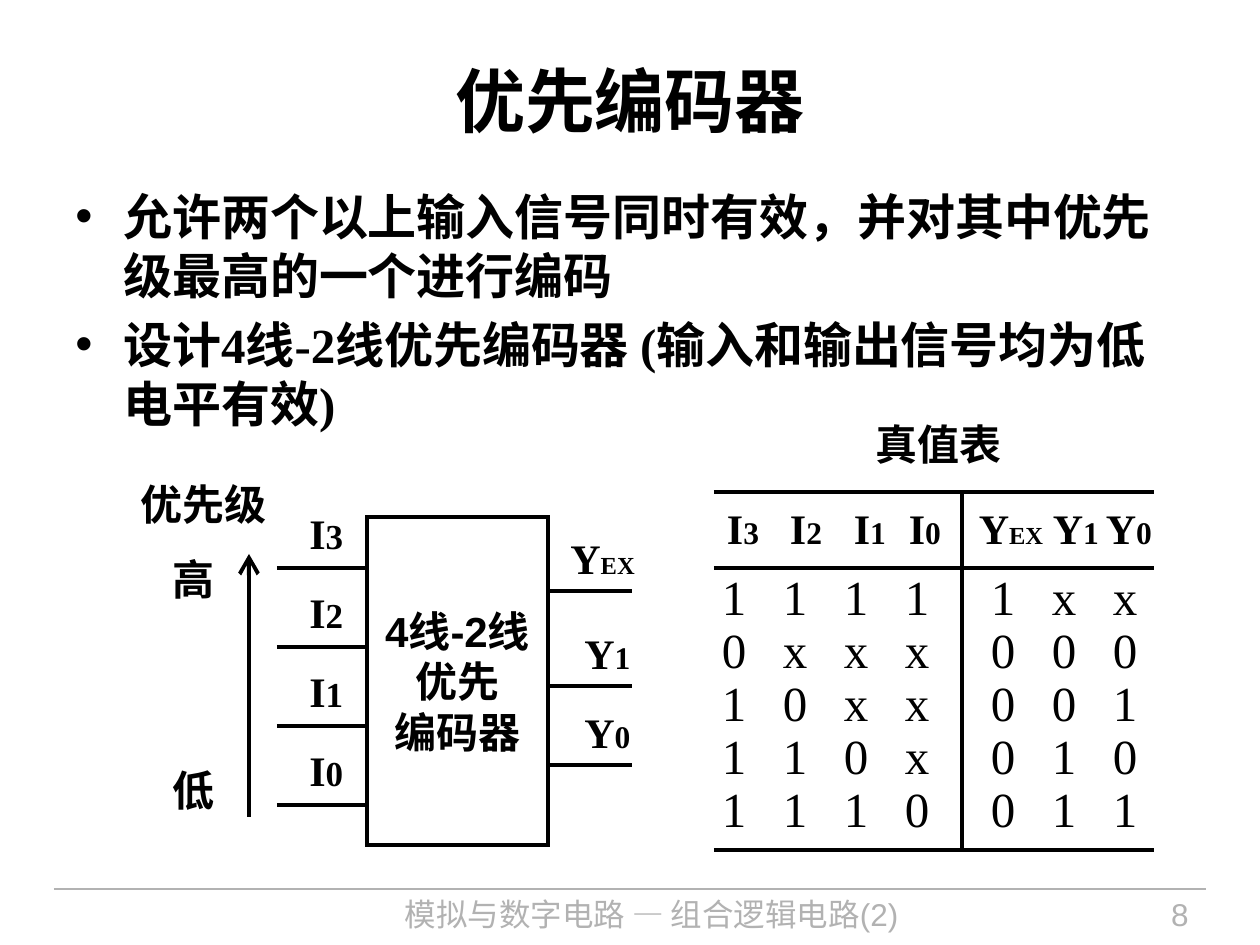
import pptx
import pptx.util
import pptx.dml.color
import pptx.enum.shapes
import pptx.enum.text
import pptx.oxml
import pptx.oxml.ns
import lxml.etree

PIXEL = 914400 // 126
COLORS = {"ink": "000000", "muted": "B2B2B2"}
SERIF = "Times New Roman"
SANS = "Arial"
ALIGN = pptx.enum.text.PP_ALIGN
ANCHOR = pptx.enum.text.MSO_ANCHOR


def color(name):
    return pptx.dml.color.RGBColor.from_string(COLORS[name])


def px(value):
    return pptx.util.Emu(value * PIXEL)


def element(parent, tag, **attributes):
    child = lxml.etree.SubElement(parent, pptx.oxml.ns.qn(tag))
    for key, value in attributes.items():
        child.set(key, str(value))
    return child


def format_run(run, size, font, bold=True, ink="ink"):
    run.font.size = pptx.util.Pt(size)
    run.font.name = font
    run.font.bold = bold
    run.font.color.rgb = color(ink)


def format_text(text_frame, size, font, align=ALIGN.LEFT, bold=True, ink="ink"):
    for paragraph in text_frame.paragraphs:
        paragraph.alignment = align
        for run in paragraph.runs:
            format_run(run, size, font, bold, ink)


def add_text(slide, box, text, size, font=SANS, wrap=False, **style):
    shape = slide.shapes.add_textbox(*map(px, box))
    shape.text_frame.word_wrap = wrap
    shape.text_frame.text = text
    format_text(shape.text_frame, size, font, **style)
    return shape


def add_signal_runs(paragraph, letter, index, index_size):
    for text, size in ((letter, 24), (index, index_size)):
        run = paragraph.add_run()
        run.text = text
        format_run(run, size, SERIF)


def add_signal(slide, box, letter, index, index_size):
    shape = slide.shapes.add_textbox(*map(px, box))
    shape.text_frame.word_wrap = False
    add_signal_runs(shape.text_frame.paragraphs[0], letter, index, index_size)


def add_line(slide, start, end, ink="ink", width=2.25, arrow=False):
    line = slide.shapes.add_connector(
        pptx.enum.shapes.MSO_CONNECTOR.STRAIGHT, *map(px, start + end))
    line.line.color.rgb = color(ink)
    line.line.width = pptx.util.Pt(width)
    if arrow:
        element(line.line._get_or_add_ln(), "a:tailEnd", type="arrow", w="lg", len="lg")
    element(line._element.spPr, "a:effectLst")


def add_title(slide, box):
    title = slide.shapes.title
    title.left, title.top, title.width, title.height = map(px, box)
    title.text_frame.text = "优先编码器"
    title.text_frame.vertical_anchor = ANCHOR.MIDDLE
    format_text(title.text_frame, 40, SANS, ALIGN.CENTER)


def add_bullets(slide, box):
    text = ("允许两个以上输入信号同时有效，并对其中优先级最高的一个进行编码\n"
            "设计4线-2线优先编码器 (输入和输出信号均为低电平有效)")
    shape = add_text(slide, box, text, 28, SERIF, wrap=True)
    for paragraph in shape.text_frame.paragraphs:
        paragraph.space_after = pptx.util.Pt(6)
        properties = paragraph._p.get_or_add_pPr()
        properties.set("marL", str(px(48)))
        properties.set("indent", str(-px(48)))
        element(properties, "a:buFont", typeface=SANS)
        element(properties, "a:buChar", char="•")


def add_priority_scale(slide, box):
    left, top, width, height = box
    add_text(slide, (left, top, width, 63), "优先级", 24)
    for offset, label in ((75, "高"), (286, "低")):
        add_text(slide, (left + 32, top + offset, 68, 63), label, 24)
    add_line(slide, (left + 121, top + height), (left + 121, top + 82), arrow=True)


def add_encoder(slide, box):
    left, top, width, height = box
    block = slide.shapes.add_shape(
        pptx.enum.shapes.MSO_SHAPE.RECTANGLE, *map(px, box))
    block.shadow.inherit = False
    block.fill.background()
    block.line.color.rgb = color("ink")
    block.line.width = pptx.util.Pt(2.25)
    element(block.line._get_or_add_ln(), "a:miter", lim=800000)
    block.text_frame.word_wrap = False
    block.text_frame.vertical_anchor = ANCHOR.MIDDLE
    block.text_frame.text = "4线-2线\n优先\n编码器"
    format_text(block.text_frame, 24, SANS, ALIGN.CENTER)

    for row, index in enumerate("3210"):
        y = top + 51 + 79 * row
        add_line(slide, (left - 90, y), (left, y))
        add_signal(slide, (left - 70, y - 67, 59, 63), "I", index, 20)

    right = left + width
    for index, size, offset, text_left, text_width in (
            ("EX", 14, 74, 10, 96), ("1", 18, 169, 24, 76), ("0", 18, 248, 24, 76)):
        y = top + offset
        add_line(slide, (right, y), (right + 84, y))
        add_signal(slide, (right + text_left, y - 65, text_width, 63), "Y", index, size)


def set_borders(cell, sides):
    properties = cell._tc.get_or_add_tcPr()
    for tag in ("lnL", "lnR", "lnT", "lnB"):
        shown = tag in sides
        border = element(properties, "a:" + tag, w=28575 if shown else 0)
        if shown:
            fill = element(border, "a:solidFill")
            element(fill, "a:srgbClr", val=COLORS["ink"])
        else:
            element(border, "a:noFill")
    element(properties, "a:noFill")


def add_truth_table(slide, box):
    left, top, width, height = box
    add_text(slide, (left + 149, top - 80, 152, 63), "真值表", 24)

    signals = [("I", "3"), ("I", "2"), ("I", "1"), ("I", "0"),
               ("Y", "EX"), ("Y", "1"), ("Y", "0")]
    values = ["11111xx", "0xxx000", "10xx001", "110x010", "1110011"]
    header_margins = [13, 15, 18, 12, 17, 9, 1]
    value_margins = [8, 8, 8, 8, 29, 8, 8]
    column_widths = [61, 61, 61, 65, 82, 61, 49]
    row_heights = [76, 62, 53, 53, 53, 61]

    table = slide.shapes.add_table(
        len(row_heights), len(column_widths), *map(px, box)).table
    table.first_row = False
    table.horz_banding = False
    for column, size in zip(table.columns, column_widths):
        column.width = px(size)
    for row, size in zip(table.rows, row_heights):
        row.height = px(size)

    for row in range(len(row_heights)):
        for column in range(len(column_widths)):
            cell = table.cell(row, column)
            cell.margin_right = cell.margin_top = 0
            cell.margin_bottom = px(5 if row == 1 else 0)
            margins = value_margins if row else header_margins
            cell.margin_left = px(margins[column])
            paragraph = cell.text_frame.paragraphs[0]
            if row == 0:
                letter, index = signals[column]
                cell.vertical_anchor = ANCHOR.MIDDLE
                add_signal_runs(paragraph, letter, index, 14 if index == "EX" else 18)
            else:
                cell.vertical_anchor = ANCHOR.BOTTOM if row == 1 else ANCHOR.TOP
                paragraph.text = values[row - 1][column]
                paragraph.line_spacing = 0.9
                format_text(cell.text_frame, 28, SERIF, bold=False)
            sides = set()
            if row == 0:
                sides |= {"lnT", "lnB"}
            if row == 1:
                sides.add("lnT")
            if row == len(row_heights) - 1:
                sides.add("lnB")
            if column == 3:
                sides.add("lnR")
            if column == 4:
                sides.add("lnL")
            set_borders(cell, sides)


def add_footer(slide, box):
    left, top, width, height = box
    add_line(slide, (left, top), (left + width, top), "muted", 0.75)
    add_text(slide, (left + 260, top, 675, height), "模拟与数字电路 — 组合逻辑电路(2)",
             18, wrap=True, align=ALIGN.CENTER, bold=False, ink="muted")
    add_text(slide, (left + 979, top, 168, height), "8",
             18, wrap=True, align=ALIGN.RIGHT, bold=False, ink="muted")


presentation = pptx.Presentation()
presentation.slide_width = px(1260)
presentation.slide_height = px(945)
slide = presentation.slides.add_slide(presentation.slide_layouts[5])
add_footer(slide, (54, 889, 1152, 55))
add_title(slide, (63, 21, 1134, 157))
add_bullets(slide, (63, 180, 1134, 277))
add_truth_table(slide, (714, 492, 440, 358))
add_encoder(slide, (367, 517, 181, 328))
add_priority_scale(slide, (128, 472, 152, 345))
presentation.save("out.pptx")
